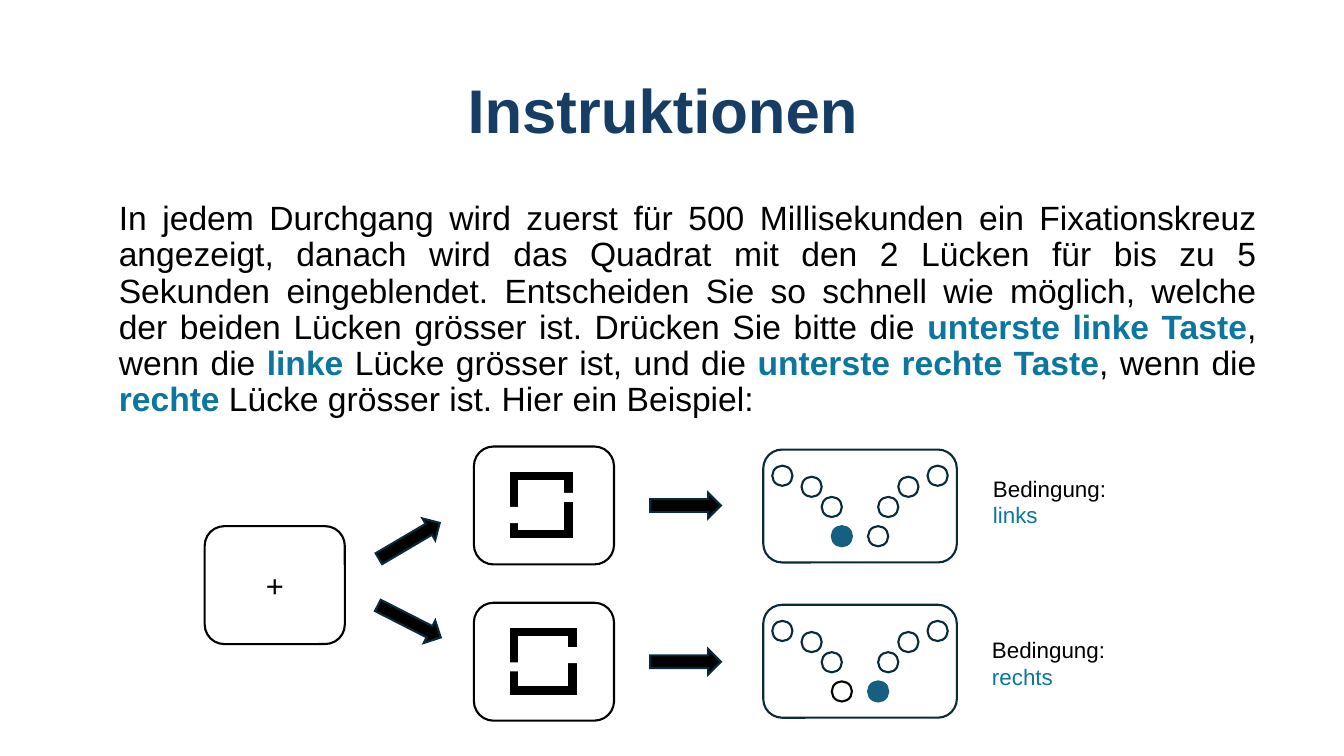
from dataclasses import dataclass

from lxml.etree import SubElement
from pptx import Presentation
from pptx.dml.color import RGBColor
from pptx.enum.shapes import MSO_SHAPE as Shape
from pptx.enum.text import MSO_ANCHOR as Anchor, PP_ALIGN as Align
from pptx.oxml.ns import qn
from pptx.util import Emu, Pt

PX = 9144


@dataclass(frozen=True)
class Theme:
    font: str = "Arial"
    title: str = "163E64"
    accent: str = "0B76A0"
    black: str = "000000"
    white: str = "FFFFFF"
    outline: str = "092A39"
    pressed: str = "156082"
    title_size: int = 44
    body_size: int = 24
    cross_size: int = 22
    label_size: int = 16
    thin: float = 1.5
    thick: float = 6


@dataclass(frozen=True)
class Box:
    left: int
    top: int
    width: int
    height: int


@dataclass(frozen=True)
class Span:
    text: str
    size: int
    color: str
    bold: bool = False


@dataclass(frozen=True)
class Trial:
    screen_top: int
    pad_top: int
    square: Box
    gaps: tuple[Box, Box]
    arrow: Box
    lead: Box
    lead_angle: float
    label: Box
    answer: str
    pressed_left: bool
    idle_color: str


T = Theme()
TITLE = Span("Instruktionen ", T.title_size, T.title, True)
BODY = [
    ("In jedem Durchgang wird zuerst für 500 Millisekunden ein Fixationskreuz angezeigt, "
     "danach wird das Quadrat mit den 2 Lücken für bis zu 5 Sekunden eingeblendet. "
     "Entscheiden Sie so schnell wie möglich, welche der beiden Lücken grösser ist. "
     "Drücken Sie bitte die ", False),
    ("unterste linke Taste", True),
    (", wenn die ", False),
    ("linke", True),
    (" Lücke grösser ist, und die ", False),
    ("unterste rechte Taste", True),
    (", wenn die ", False),
    ("rechte", True),
    (" Lücke grösser ist. Hier ein Beispiel:", False),
]
SCREEN_W, SCREEN_H = 139, 117
PAD_LEFT, PAD_W, PAD_H = 757, 192, 112
KEY = 20
KEY_OFFSETS = [(9, 16), (38, 27), (58, 47), (68, 76)]
TRIALS = [
    Trial(443, 446, Box(510, 472, 54, 58),
          (Box(503, 503, 19, 16), Box(557, 489, 19, 9)),
          Box(645, 489, 70, 25), Box(371, 524, 70, 25), 329.5,
          Box(975, 466, 232, 64), "links", True, T.outline),
    Trial(598, 600, Box(510, 627, 58, 58),
          (Box(560, 642, 16, 16), Box(503, 657, 20, 9)),
          Box(645, 644, 70, 25), Box(371, 604, 70, 25), 27,
          Box(974, 626, 252, 64), "rechts", False, T.black),
]


def place(box: Box) -> tuple[Emu, ...]:
    return tuple(Emu(v * PX) for v in (box.left, box.top, box.width, box.height))


def write(p, spans: list[Span], align: Align = Align.LEFT) -> None:
    p.alignment = align
    for span in spans:
        r = p.add_run()
        r.text = span.text
        r.font.name = T.font
        r.font.size = Pt(span.size)
        r.font.bold = span.bold
        r.font.color.rgb = RGBColor.from_string(span.color)


def add_text(s, box: Box, paragraphs: list[list[Span]], align: Align = Align.LEFT,
             anchor: Anchor = Anchor.TOP, spacing: float = 1.0) -> None:
    tf = s.shapes.add_textbox(*place(box)).text_frame
    tf.word_wrap = True
    tf.vertical_anchor = anchor
    for i, spans in enumerate(paragraphs):
        p = tf.paragraphs[0] if i == 0 else tf.add_paragraph()
        p.line_spacing = spacing
        write(p, spans, align)


def add_figure(s, kind: Shape, box: Box, fill: str | None = None,
               line: str | None = None, weight: float = T.thin, angle: float = 0):
    sp = s.shapes.add_shape(kind, *place(box))
    sp.shadow.inherit = False
    sp.rotation = angle
    if fill:
        sp.fill.solid()
        sp.fill.fore_color.rgb = RGBColor.from_string(fill)
    else:
        sp.fill.background()
    if line:
        sp.line.color.rgb = RGBColor.from_string(line)
        sp.line.width = Pt(weight)
        SubElement(sp.line._get_or_add_ln(), qn("a:miter"), lim="800000")
    else:
        sp.line.fill.background()
    return sp


def add_screen(s, left: int, top: int):
    return add_figure(s, Shape.ROUNDED_RECTANGLE, Box(left, top, SCREEN_W, SCREEN_H),
                      T.white, T.black)


def add_keypad(s, trial: Trial) -> None:
    add_figure(s, Shape.ROUNDED_RECTANGLE,
               Box(PAD_LEFT, trial.pad_top, PAD_W, PAD_H), line=T.outline)
    for is_left in (True, False):
        for dx, dy in KEY_OFFSETS:
            x = dx if is_left else PAD_W - KEY - dx
            is_lowest = (dx, dy) == KEY_OFFSETS[-1]
            is_pressed = is_lowest and is_left == trial.pressed_left
            idle = trial.idle_color if is_lowest and is_left else T.outline
            add_figure(s, Shape.OVAL, Box(PAD_LEFT + x, trial.pad_top + dy, KEY, KEY),
                       T.pressed if is_pressed else None,
                       T.pressed if is_pressed else idle)


def add_trial(s, trial: Trial) -> None:
    add_screen(s, 470, trial.screen_top)
    add_figure(s, Shape.RECTANGLE, trial.square, line=T.black, weight=T.thick)
    for gap in trial.gaps:
        add_figure(s, Shape.RECTANGLE, gap, T.white)
    add_figure(s, Shape.RIGHT_ARROW, trial.lead, T.black, T.outline, angle=trial.lead_angle)
    add_figure(s, Shape.RIGHT_ARROW, trial.arrow, T.black, T.outline)
    add_keypad(s, trial)
    add_text(s, trial.label, [[Span("Bedingung:", T.label_size, T.black)],
                              [Span(trial.answer, T.label_size, T.accent)]])


def main() -> None:
    """Build the instruction slide with its two example trials."""
    prs = Presentation()
    prs.slide_width, prs.slide_height = Emu(1333 * PX), Emu(750 * PX)
    s = prs.slides.add_slide(prs.slide_layouts[6])
    add_text(s, Box(91, 40, 1150, 145), [[TITLE]], Align.CENTER, Anchor.MIDDLE, 0.9)
    body = [Span(text, T.body_size, T.accent if key else T.black, key) for text, key in BODY]
    add_text(s, Box(108, 195, 1148, 476), [body], Align.JUSTIFY, spacing=0.9)
    cross = add_screen(s, 203, 522)
    cross.text_frame.vertical_anchor = Anchor.MIDDLE
    write(cross.text_frame.paragraphs[0], [Span("+", T.cross_size, T.black)], Align.CENTER)
    for trial in TRIALS:
        add_trial(s, trial)
    prs.save("out.pptx")


if __name__ == "__main__":
    main()
